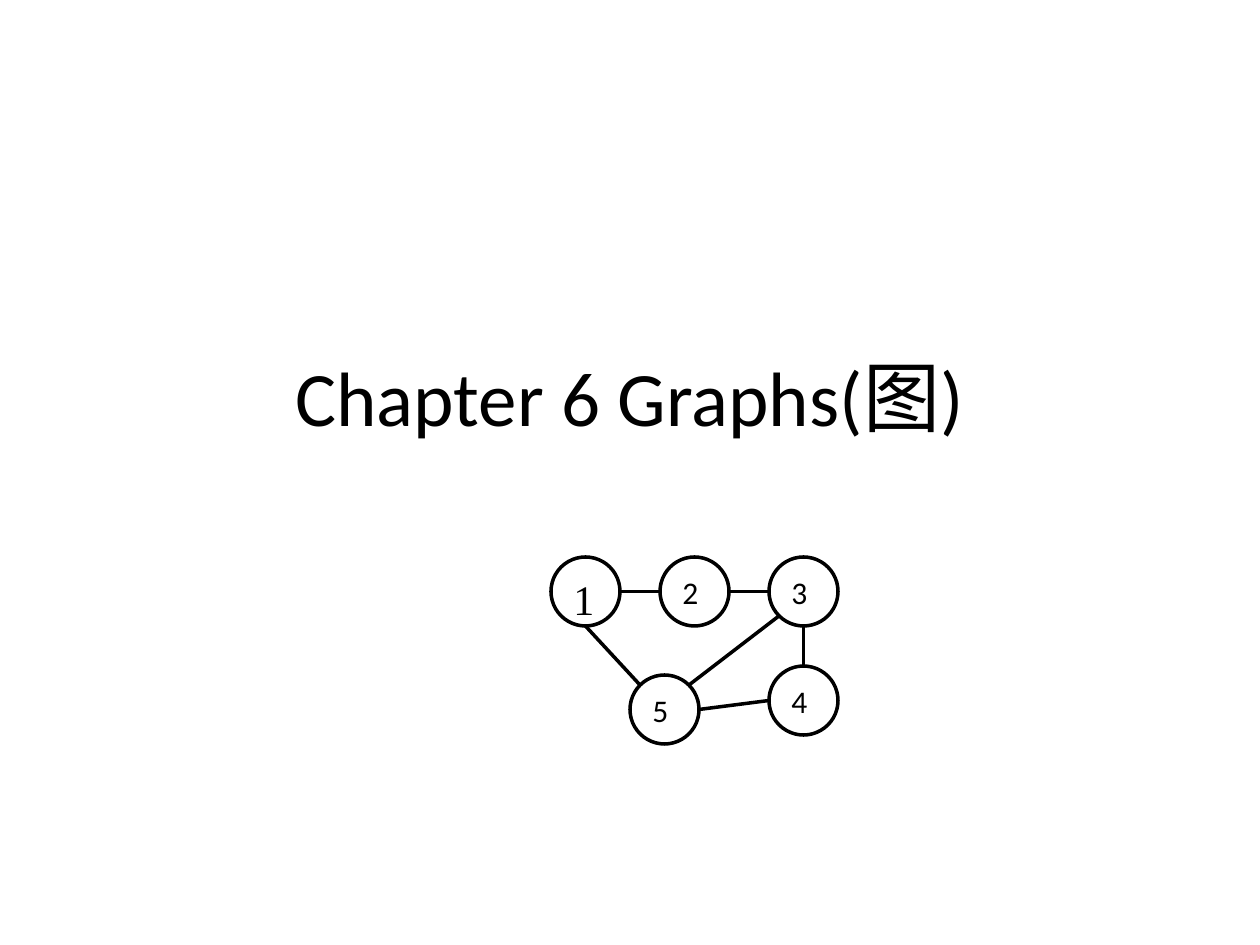
from dataclasses import dataclass
from math import cos, radians, sin

from lxml.etree import SubElement
from pptx import Presentation
from pptx.dml.color import RGBColor
from pptx.enum.shapes import MSO_CONNECTOR as Connector, MSO_SHAPE as Shape
from pptx.enum.text import MSO_ANCHOR as Anchor, PP_ALIGN as Align
from pptx.oxml.ns import qn
from pptx.util import Emu, Pt

PX_PER_INCH = 126


@dataclass(frozen=True)
class Theme:
    ink: RGBColor = RGBColor(0, 0, 0)
    paper: RGBColor = RGBColor(255, 255, 255)
    font: str = "Calibri"
    first_font: str = "Times New Roman"
    title_size: int = 44
    label_size: int = 18
    first_size: int = 24
    stroke: int = 2


THEME = Theme()

DIAMETER = 69
PITCH = 109
ROW_LEFT, ROW_TOP = 551, 557

# Left and top of each vertex's circle
VERTICES = {n: (ROW_LEFT + (n - 1) * PITCH, ROW_TOP) for n in (1, 2, 3)}
VERTICES[4] = (VERTICES[3][0], ROW_TOP + PITCH)
VERTICES[5] = (630, 675)

# Vertex and rim angle in degrees (clockwise from right) at both ends
EDGES = [
    ((1, 0), (2, 180)),
    ((2, 0), (3, 180)),
    ((3, 90), (4, 270)),
    ((1, 90), (5, 225)),
    ((5, 0), (4, 180)),
    ((5, 315), (3, 135)),
]


def px(length):
    return Emu(round(length * 914400 / PX_PER_INCH))


def add_text(frame, text, font, size, align):
    paragraph = frame.paragraphs[0]
    paragraph.alignment = align
    run = paragraph.add_run()
    run.text = text
    run.font.name = font
    run.font.size = Pt(size)
    run.font.color.rgb = THEME.ink


def add_title(slide, text, left, top, width, height):
    frame = slide.shapes.add_textbox(px(left), px(top), px(width), px(height)).text_frame
    frame.word_wrap = True
    frame.vertical_anchor = Anchor.MIDDLE
    add_text(frame, text, THEME.font, THEME.title_size, Align.CENTER)


def set_stroke(line):
    line.color.rgb = THEME.ink
    line.width = Pt(THEME.stroke)


def add_vertex(slide, number, font, size):
    left, top = VERTICES[number]
    circle = slide.shapes.add_shape(Shape.OVAL, px(left), px(top), px(DIAMETER), px(DIAMETER))
    circle.shadow.inherit = False
    circle.fill.background()
    set_stroke(circle.line)
    circle.text_frame.vertical_anchor = Anchor.TOP
    add_text(circle.text_frame, str(number), font, size, Align.LEFT)


def rim_point(number, angle):
    left, top = VERTICES[number]
    radius = DIAMETER / 2
    turn = radians(angle)
    return px(left + radius * (1 + cos(turn))), px(top + radius * (1 + sin(turn)))


def add_edge(slide, start, end):
    edge = slide.shapes.add_connector(Connector.STRAIGHT, *rim_point(*start), *rim_point(*end))
    set_stroke(edge.line)
    SubElement(edge._element.spPr, qn("a:effectLst"))


def main():
    deck = Presentation()
    deck.slide_width, deck.slide_height = px(1260), px(945)
    slide = deck.slides.add_slide(deck.slide_layouts[6])
    slide.background.fill.solid()
    slide.background.fill.fore_color.rgb = THEME.paper

    add_title(slide, "Chapter 6 Graphs(图)", 94, 294, 1071, 203)
    add_vertex(slide, 1, THEME.first_font, THEME.first_size)
    for number in (2, 3, 4, 5):
        add_vertex(slide, number, THEME.font, THEME.label_size)
    for start, end in EDGES:
        add_edge(slide, start, end)

    deck.save("out.pptx")


if __name__ == "__main__":
    main()
